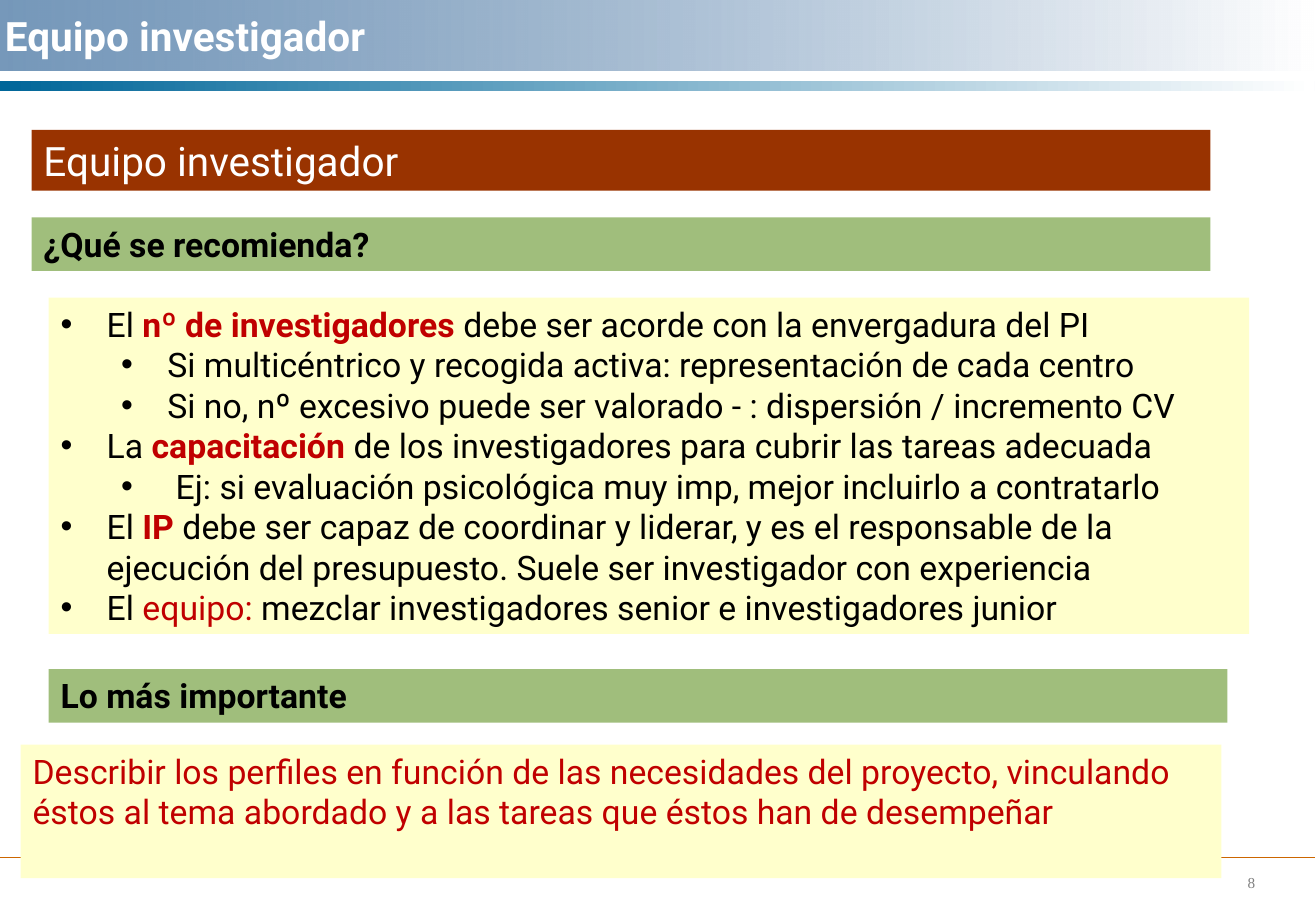
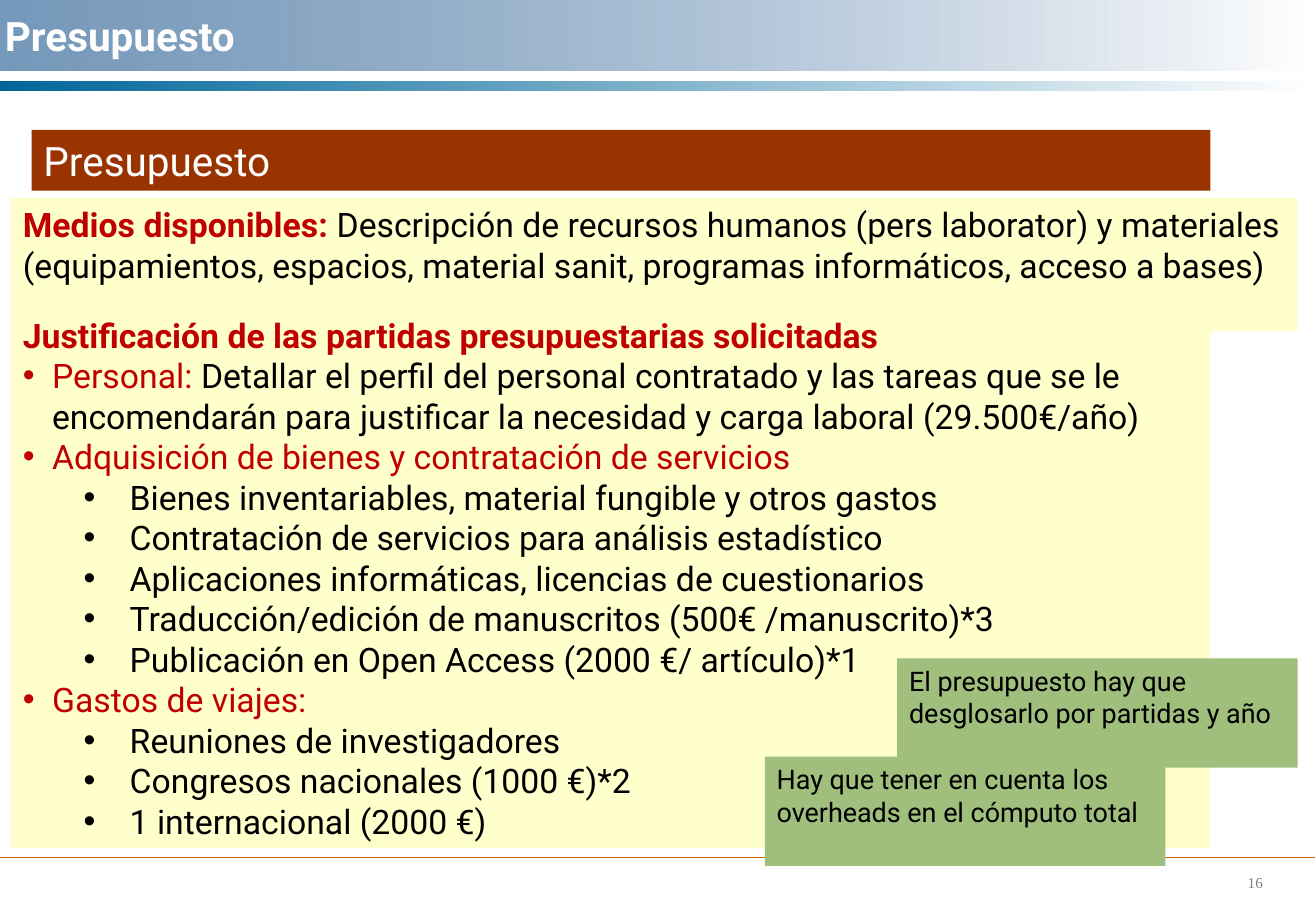
from collections import namedtuple

from lxml.etree import SubElement
from pptx import Presentation
from pptx.dml.color import RGBColor
from pptx.enum.shapes import MSO_CONNECTOR, MSO_SHAPE
from pptx.enum.text import MSO_ANCHOR, PP_ALIGN
from pptx.oxml.ns import qn
from pptx.util import Inches, Pt

BLACK, WHITE, RED, GREY = "000000", "FFFFFF", "C00000", "808080"
BROWN, GREEN, CREAM, ORANGE = "993300", "A0BE7C", "FFFFCC", "CC6600"
BLUE, TEAL = "336699", "006699"
FONT, NUMBER_FONT = "Roboto", "Times New Roman"

Bullet = namedtuple("Bullet", "level margin hanging color")
MAIN = Bullet(0, 0.38, 0.38, BLACK)
ITEM = Bullet(0, 0.24, 0.24, RED)
SUB = Bullet(1, 0.88, 0.38, BLACK)


def rgb(value):
    return RGBColor.from_string(value)


def box(left, top, width, height):
    return [Inches(value) for value in (left, top, width, height)]


def add_bullet(paragraph, bullet):
    paragraph.level = bullet.level
    properties = paragraph._p.get_or_add_pPr()
    properties.set("marL", str(Inches(bullet.margin)))
    properties.set("indent", str(-Inches(bullet.hanging)))
    color = SubElement(properties, qn("a:buClr"))
    SubElement(color, qn("a:srgbClr"), val=bullet.color)
    SubElement(properties, qn("a:buFont"), typeface="Arial")
    SubElement(properties, qn("a:buChar"), char="•")


def add_run(paragraph, text, color=BLACK, bold=False, size=20, font=FONT):
    run = paragraph.add_run()
    run.text = text
    run.font.name = font
    run.font.size = Pt(size)
    run.font.bold = bold
    run.font.color.rgb = rgb(color)


def add_rectangle(slide, place):
    shape = slide.shapes.add_shape(MSO_SHAPE.RECTANGLE, *box(*place))
    shape.shadow.inherit = False
    shape.line.fill.background()
    return shape


def add_band(slide, place, color, opacity=100):
    shape = add_rectangle(slide, place)
    shape.fill.gradient()
    shape.fill.gradient_angle = 0
    for stop, stop_color in zip(shape.fill.gradient_stops, (color, WHITE)):
        stop.color.rgb = rgb(stop_color)
    if opacity < 100:
        first = next(shape.element.iter(qn("a:srgbClr")))
        SubElement(first, qn("a:alpha"), val=str(opacity * 1000))


def add_panel(slide, place, fill, paragraphs, size=20):
    shape = add_rectangle(slide, place)
    shape.fill.solid()
    shape.fill.fore_color.rgb = rgb(fill)
    frame = shape.text_frame
    frame.word_wrap = True
    frame.vertical_anchor = MSO_ANCHOR.TOP
    for index, (bullet, runs) in enumerate(paragraphs):
        paragraph = frame.add_paragraph() if index else frame.paragraphs[0]
        paragraph.alignment = PP_ALIGN.LEFT
        if bullet:
            add_bullet(paragraph, bullet)
        for run in runs:
            add_run(paragraph, *run, size=size)


def add_subheading(slide, left, top, text):
    add_panel(slide, (left, top, 9.71, 0.44), GREEN, [(None, [(text, BLACK, True)])])


def add_footer(slide, number):
    line = slide.shapes.add_connector(
        MSO_CONNECTOR.STRAIGHT, Inches(0), Inches(7.06), Inches(10.83), Inches(7.06))
    line.line.color.rgb = rgb(ORANGE)
    line.line.width = Pt(0.75)
    SubElement(line.element.spPr, qn("a:effectLst"))
    label = slide.shapes.add_textbox(*box(10.18, 7.14, 0.64, 0.25))
    label.text_frame.word_wrap = True
    add_run(label.text_frame.paragraphs[0], number, GREY, size=9, font=NUMBER_FONT)


def add_title(slide, text):
    title = slide.shapes.title
    title.left, title.top, title.width, title.height = box(-0.06, 0, 9.86, 0.58)
    title.element.getparent().append(title.element)
    title.text_frame.vertical_anchor = MSO_ANCHOR.MIDDLE
    paragraph = title.text_frame.paragraphs[0]
    paragraph.alignment = PP_ALIGN.LEFT
    add_run(paragraph, text, WHITE, True, 24)


def start_slide(presentation, text, number):
    slide = presentation.slides.add_slide(presentation.slide_layouts[5])
    add_band(slide, (0, 0, 10.82, 0.58), BLUE, 67)
    add_footer(slide, number)
    add_band(slide, (0, 0.67, 10.83, 0.08), TEAL)
    add_title(slide, text)
    add_panel(slide, (0.26, 1.07, 9.71, 0.5), BROWN, [(None, [(text, WHITE)])], 24)
    return slide


def build_team(presentation):
    slide = start_slide(presentation, "Equipo investigador", "8")
    add_panel(slide, (0.4, 2.45, 9.89, 2.77), CREAM, [
        (MAIN, [("El ",), ("nº de investigadores ", RED, True),
                ("debe ser acorde con la envergadura del PI",)]),
        (SUB, [("Si multicéntrico y recogida activa: representación de cada centro",)]),
        (SUB, [("Si no, nº excesivo puede ser valorado - : dispersión / incremento CV",)]),
        (MAIN, [("La ",), ("capacitación", RED, True),
                (" de los investigadores para cubrir las tareas adecuada",)]),
        (SUB, [(" Ej: si evaluación psicológica muy imp, mejor incluirlo a contratarlo",)]),
        (MAIN, [("El ",), ("IP", RED, True),
                (" debe ser capaz de coordinar y liderar, y es el responsable de la "
                 "ejecución del presupuesto. Suele ser investigador con experiencia",)]),
        (MAIN, [("El ",), ("equipo:", RED),
                (" mezclar investigadores senior e investigadores junior",)]),
    ])
    add_subheading(slide, 0.26, 1.79, "¿Qué se recomienda?")
    add_subheading(slide, 0.4, 5.51, "Lo más importante")
    add_panel(slide, (0.17, 6.13, 9.89, 1.1), CREAM, [
        (None, [("Describir los perfiles en función de las necesidades del proyecto, "
                 "vinculando éstos al tema abordado y a las tareas que éstos han de "
                 "desempeñar", RED)]),
    ])


def build_budget(presentation):
    slide = start_slide(presentation, "Presupuesto", "16")
    add_panel(slide, (0.09, 1.63, 10.6, 1.1), CREAM, [
        (None, [("Medios disponibles: ", RED, True),
                ("Descripción de recursos humanos (pers laborator) y materiales "
                 "(equipamientos, espacios, material sanit, programas informáticos, "
                 "acceso a bases)",)]),
    ])
    services = ["Bienes inventariables, material fungible y otros gastos",
                "Contratación de servicios para análisis estadístico",
                "Aplicaciones informáticas, licencias de cuestionarios",
                "Traducción/edición de manuscritos (500€ /manuscrito)*3",
                "Publicación en Open Access (2000 €/ artículo)*1"]
    trips = ["Reuniones de investigadores",
             "Congresos nacionales (1000 €)*2",
             "1 internacional (2000 €)"]
    add_panel(slide, (0.09, 2.54, 9.88, 4.44), CREAM, [
        (None, [("Justificación de las partidas presupuestarias solicitadas", RED, True)]),
        (ITEM, [("Personal: ", RED),
                ("Detallar el perfil del personal contratado y las tareas que se le "
                 "encomendarán para justificar la necesidad y carga laboral "
                 "(29.500€/año)",)]),
        (ITEM, [("Adquisición de bienes y contratación de servicios", RED)]),
        *[(SUB, [(text,)]) for text in services],
        (ITEM, [("Gastos de viajes:", RED)]),
        *[(SUB, [(text,)]) for text in trips],
    ])
    notices = [
        (7.39, 5.42, ["El presupuesto hay que", "desglosarlo por partidas y año"]),
        (6.3, 6.23, ["Hay que tener en cuenta los overheads en el cómputo total"]),
    ]
    for left, top, lines in notices:
        add_panel(slide, (left, top, 3.3, 0.9), GREEN,
                  [(None, [(line,)]) for line in lines], 16)


def main():
    presentation = Presentation()
    presentation.slide_width = Inches(10.84)
    presentation.slide_height = Inches(7.5)
    build_team(presentation)
    build_budget(presentation)
    presentation.save("out.pptx")


if __name__ == "__main__":
    main()
